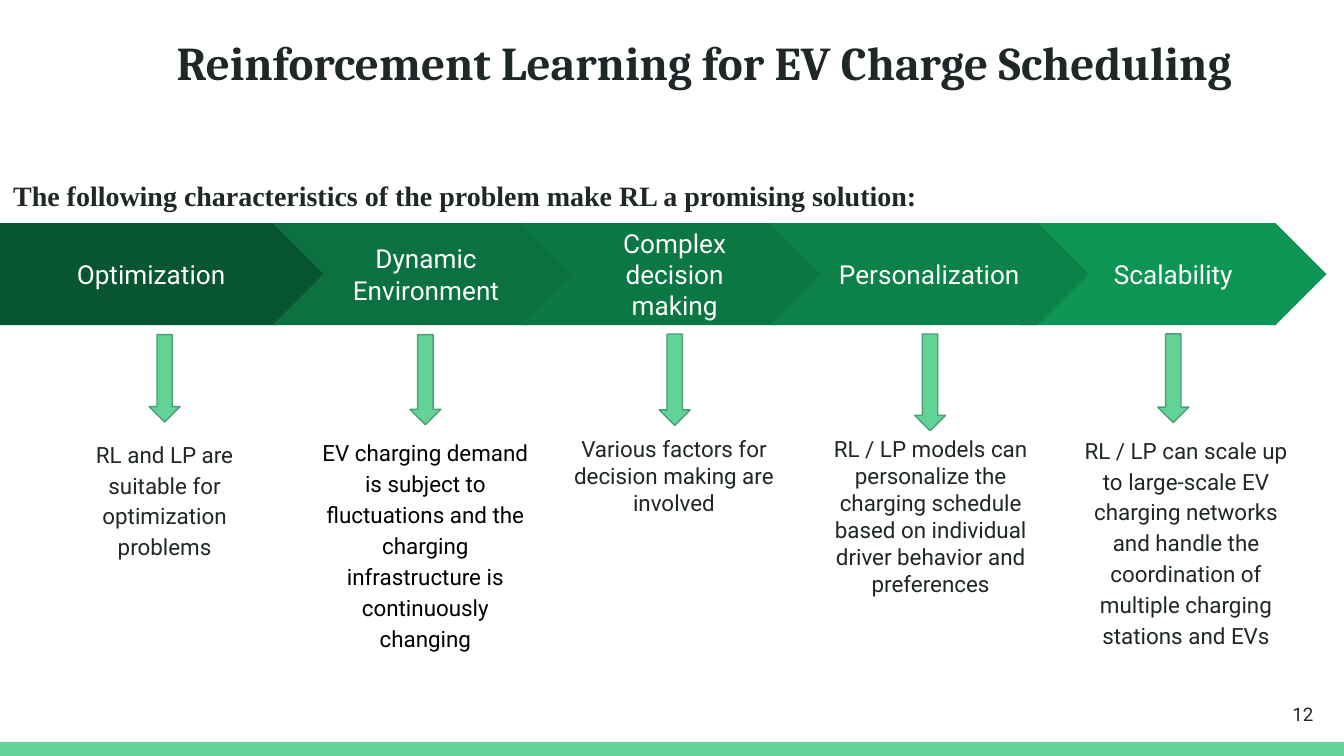
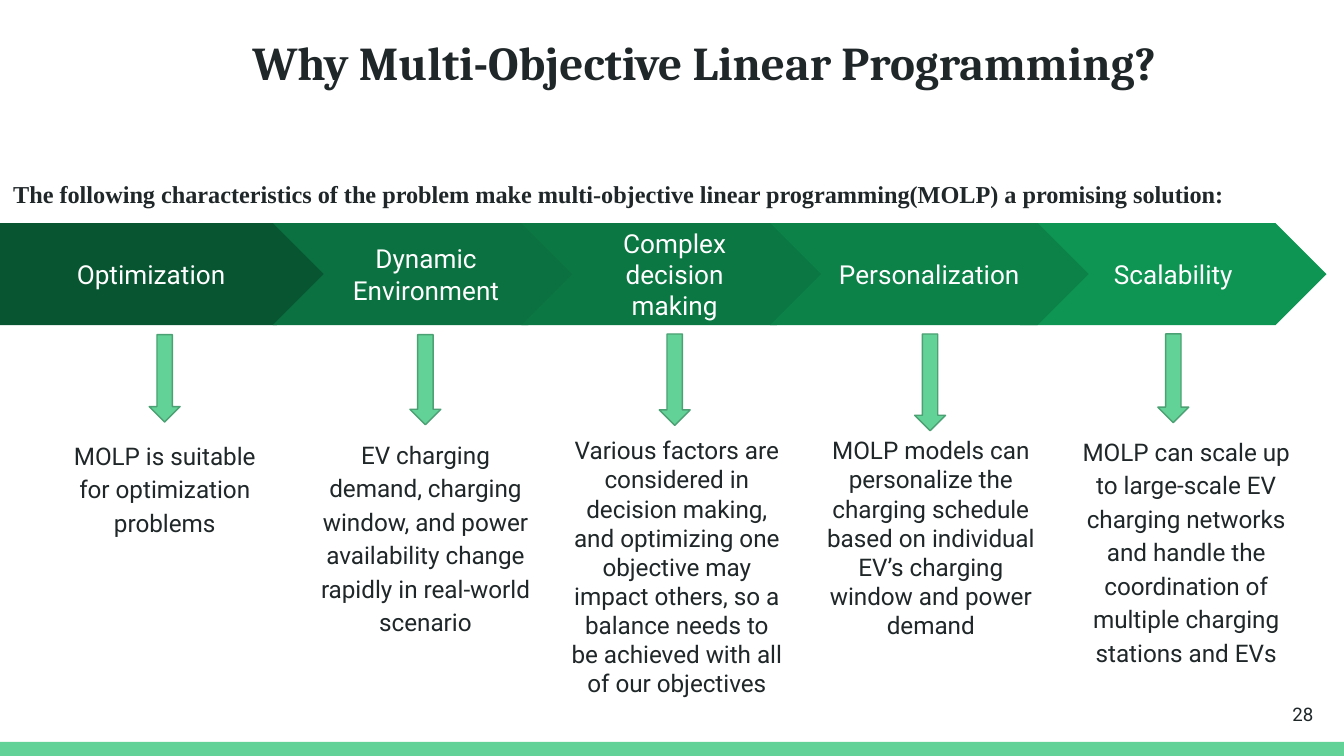
from pptx import Presentation
from pptx import util as u
from pptx.dml.color import RGBColor
from pptx.enum import shapes, text

PX = 9144  # 100 px to the inch
INK, WHITE, GREEN, EDGE = "202729", "FFFFFF", "63D297", "4BA173"
KIND, ALIGN, ANCHOR = shapes.MSO_SHAPE, text.PP_ALIGN, text.MSO_ANCHOR
MARGINS = ("margin_left", "margin_top", "margin_right", "margin_bottom")

# Steps from back to front: label, shape, left, width, fill,
# arrow centre, arrow length, note left, note top, note height, line spacing
STEPS = [
    ("Optimization", KIND.PENTAGON, 0, 244, "085631", 122, 65, 33, 315, 233, 1.15),
    ("Dynamic Environment", KIND.CHEVRON, 203, 228, "0B7140", 316, 67, 227, 314, 217, 1.15),
    ("Complex decision making", KIND.CHEVRON, 388, 228, "0B7743", 502, 68, 412, 314, 228, 1.0),
    ("Scalability", KIND.CHEVRON, 759, 228, "0E9453", 873, 66, 793, 312, 218, 1.15),
    ("Personalization", KIND.CHEVRON, 573, 237, "0C8148", 692, 72, 603, 314, 217, 1.0),
]

SLIDES = [
    {
        "title": "Reinforcement Learning for EV Charge Scheduling",
        "number": "12",
        "lead": "The following characteristics of the problem make RL a promising solution:",
        "lead_box": (0, 123, 867, 45),
        "lead_size": 15,
        "note_size": 12,
        "note_colors": {"Dynamic Environment": "000000"},
        "note_shifts": {},
        "notes": [
            "RL and LP are suitable for optimization problems",
            "EV charging demand is subject to fluctuations and the charging "
            "infrastructure is continuously changing",
            "Various factors for decision making are involved",
            "RL / LP can scale up to large-scale EV charging networks and handle "
            "the coordination of multiple charging stations and EVs",
            "RL / LP models can personalize the charging schedule based on "
            "individual driver behavior and preferences",
        ],
    },
    {
        "title": "Why Multi-Objective Linear Programming?",
        "number": "28",
        "lead": "The following characteristics of the problem make multi-objective "
                "linear programming(MOLP) a promising solution:",
        "lead_box": (0, 123, 993, 42),
        "lead_size": 13,
        "note_size": 13,
        "note_colors": {},
        "note_shifts": {"Complex decision making": 2},
        "notes": [
            "MOLP is suitable for optimization problems",
            "EV charging demand, charging window, and power availability change "
            "rapidly in real-world scenario",
            "Various factors are considered in decision making, and optimizing one "
            "objective may impact others, so a balance needs to be achieved with "
            "all of our objectives",
            "MOLP can scale up to large-scale EV charging networks and handle the "
            "coordination of multiple charging stations and EVs",
            "MOLP models can personalize the charging schedule based on individual "
            "EV’s charging window and power demand",
        ],
    },
]


def color(hex_string):
    return RGBColor.from_string(hex_string)


def add_box(page, place, words="", kind=None, fill=None, ink=INK, align=ALIGN.CENTER,
            anchor=ANCHOR.TOP, spacing=1.0, **font):
    """Add a filled shape, or a text box when no kind is given."""
    place = [length * PX for length in place]
    if kind is None:
        box = page.shapes.add_textbox(*place)
    else:
        box = page.shapes.add_shape(kind, *place)
        box.shadow.inherit = False
        box.fill.solid()
        box.fill.fore_color.rgb = color(fill)
        box.line.fill.background()
    if words:
        frame = box.text_frame
        frame.word_wrap = True
        frame.vertical_anchor = anchor
        for margin in MARGINS:
            setattr(frame, margin, 10 * PX)
        para = frame.paragraphs[0]
        para.alignment = align
        para.line_spacing = spacing
        span = para.add_run()
        span.text = words
        span.font.color.rgb = color(ink)
        for name, value in {"name": "Roboto", **font}.items():
            setattr(span.font, name, value)
    return box


deck = Presentation()
deck.slide_width = u.Inches(10)
deck.slide_height = u.Inches(5.625)

for content in SLIDES:
    page = deck.slides.add_slide(deck.slide_layouts[6])

    # Bottom band, title and page number
    add_box(page, (0, 552, 1000, 11), kind=KIND.RECTANGLE, fill=GREEN)
    add_box(page, (82, 15, 884, 63), content["title"],
            name="Cambria", size=u.Pt(25.2), bold=True)
    add_box(page, (927, 510, 60, 43), content["number"], align=ALIGN.RIGHT,
            anchor=ANCHOR.MIDDLE, size=u.Pt(10))

    # Process steps, each with its note and arrow
    for step, note in zip(STEPS, content["notes"]):
        (label, kind, left, width, fill, center, length,
         note_left, note_top, note_height, spacing) = step
        add_box(page, (left, 166, width, 76), label, kind, fill, WHITE,
                anchor=ANCHOR.MIDDLE, size=u.Pt(14))
        note_left += content["note_shifts"].get(label, 0)
        add_box(page, (note_left, note_top, 179, note_height), note,
                ink=content["note_colors"].get(label, INK), spacing=spacing,
                size=u.Pt(content["note_size"]))
        # Turned a quarter, so that every arrow starts at the same height
        arrow = add_box(page, (center - length // 2, 249 + (length - 23) // 2, length, 23),
                        kind=KIND.RIGHT_ARROW, fill=GREEN)
        arrow.rotation = 90
        arrow.line.color.rgb = color(EDGE)
        arrow.line.width = u.Pt(0.75)

    # Lead sentence above the steps
    add_box(page, content["lead_box"], content["lead"], align=ALIGN.LEFT,
            name="Times New Roman", size=u.Pt(content["lead_size"]), bold=True)

deck.save("out.pptx")
